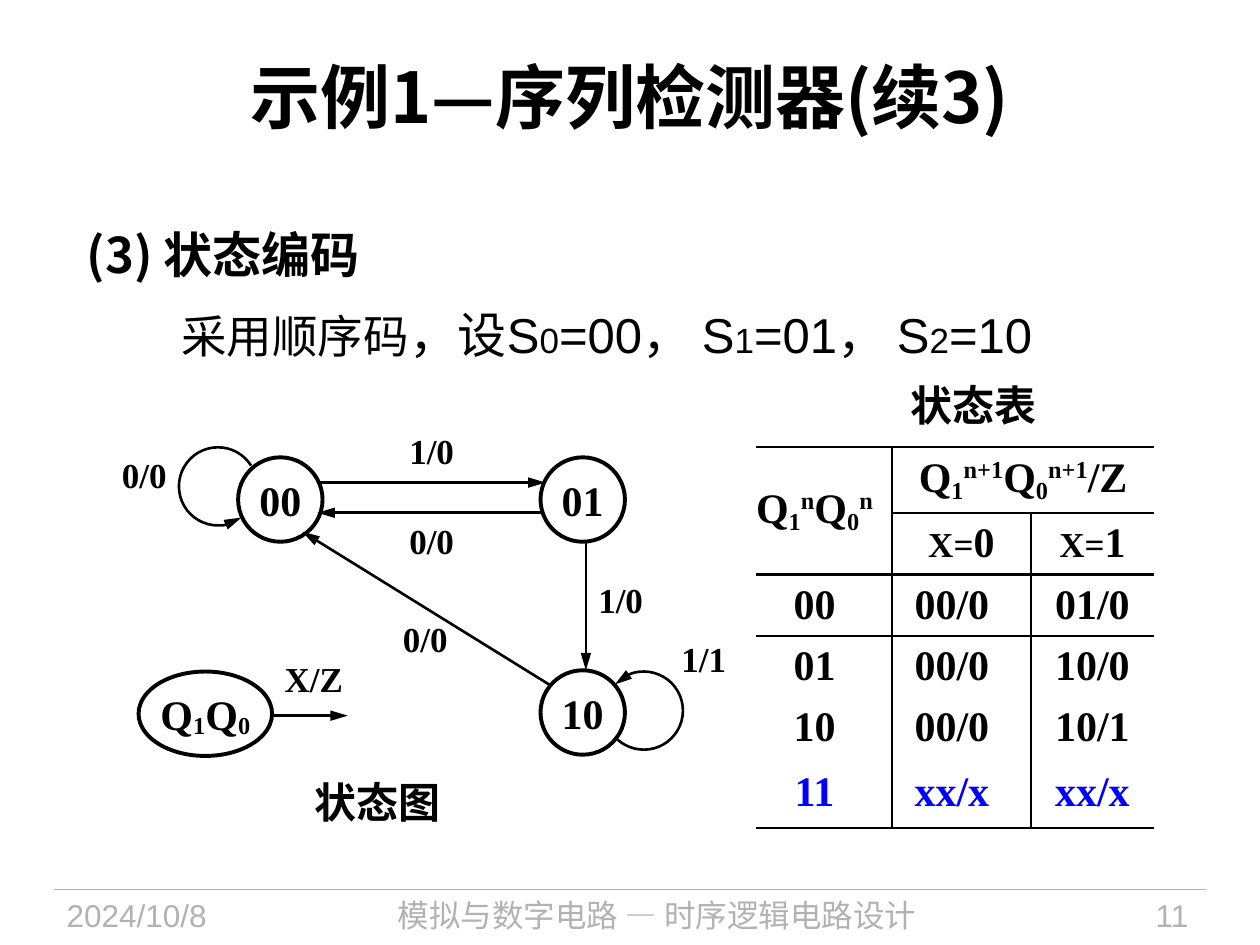
import pptx
import pptx.util
import pptx.dml.color
import pptx.enum.shapes
import pptx.enum.text
import pptx.oxml.ns
from dataclasses import dataclass
from lxml import etree

Inches = pptx.util.Inches
Pt = pptx.util.Pt
Align = pptx.enum.text.PP_ALIGN
Anchor = pptx.enum.text.MSO_ANCHOR
Shape = pptx.enum.shapes.MSO_SHAPE
qn = pptx.oxml.ns.qn


@dataclass(frozen=True)
class Theme:
    black: str = "000000"
    grey: str = "B2B2B2"
    blue: str = "0000FF"
    sans: str = "Arial"
    chinese: str = "Noto Sans CJK SC"
    serif: str = "Times New Roman"
    title: int = 40
    heading: int = 28
    body: int = 26
    state: int = 24
    label: int = 20
    footer: int = 18


theme = Theme()


def write(frame, runs, size, font=theme.serif, color=theme.black, bold=True, align=Align.LEFT):
    paragraph = frame.paragraphs[0]
    paragraph.alignment = align
    paragraph.font.size = Pt(size)
    paragraph.font.bold = bold
    paragraph.font.name = font
    paragraph.font.color.rgb = pptx.dml.color.RGBColor.from_string(color)
    etree.SubElement(paragraph.font._rPr, qn("a:ea"), typeface=theme.chinese)
    for text, run_size, baseline in runs:
        run = paragraph.add_run()
        run.text = text
        if run_size != size:
            run.font.size = Pt(run_size)
        if baseline:
            run.font._rPr.set("baseline", str(baseline * 1000))


def stroke(shape, width=1.5, color=theme.black, arrow=None):
    shape.line.color.rgb = pptx.dml.color.RGBColor.from_string(color)
    shape.line.width = Pt(width)
    if arrow:
        etree.SubElement(shape.line._get_or_add_ln(), qn(f"a:{arrow}"), type="triangle", len="lg")
    etree.SubElement(shape._element.spPr, qn("a:effectLst"))


presentation = pptx.Presentation()
presentation.slide_width = Inches(10)
presentation.slide_height = Inches(7.5)
slide = presentation.slides.add_slide(presentation.slide_layouts[6])
shapes = slide.shapes

for x1, y1, x2, y2, width, color, arrow in [
    (0.43, 7.06, 9.57, 7.06, 0.75, theme.grey, None),
    (2.52, 3.83, 4.33, 3.83, 1.5, theme.black, "tailEnd"),
    (4.29, 4.07, 2.52, 4.07, 1.5, theme.black, "tailEnd"),
    (4.65, 4.3, 4.65, 5.32, 1.5, theme.black, "tailEnd"),
    (4.37, 5.44, 2.4, 4.22, 1.5, theme.black, "tailEnd"),
    (2.16, 5.68, 2.76, 5.68, 1.5, theme.black, "tailEnd"),
]:
    connector = shapes.add_connector(
        pptx.enum.shapes.MSO_CONNECTOR.STRAIGHT, Inches(x1), Inches(y1), Inches(x2), Inches(y2))
    stroke(connector, width, color, arrow)

loop_radius = 0.31
for center_x, center_y, start, end in [(1.73, 3.86, 53, 328), (5.11, 5.64, 222, 132)]:
    loop = shapes.add_shape(Shape.ARC, Inches(center_x - loop_radius), Inches(center_y - loop_radius),
                            Inches(2 * loop_radius), Inches(2 * loop_radius))
    loop.adjustments[0] = start * 0.6
    loop.adjustments[1] = end * 0.6
    loop.fill.background()
    stroke(loop, arrow="headEnd")

legend_runs = [("Q", 24, 0), ("1", 24, -10), ("Q", 24, 0), ("0", 24, -10)]
for left, top, width, runs in [
    (1.89, 3.63, 0.67, [("00", 24, 0)]),
    (4.29, 3.63, 0.67, [("01", 24, 0)]),
    (4.29, 5.32, 0.67, [("10", 24, 0)]),
    (1.1, 5.33, 1.06, legend_runs),
]:
    state = shapes.add_shape(Shape.OVAL, Inches(left), Inches(top), Inches(width), Inches(0.67))
    state.fill.background()
    stroke(state, 2.25)
    frame = state.text_frame
    frame.word_wrap = False
    frame.vertical_anchor = Anchor.MIDDLE
    frame.margin_left = frame.margin_right = frame.margin_top = frame.margin_bottom = 0
    write(frame, runs, theme.state, align=Align.CENTER)

for text, left, top, width in [
    ("1/0", 3.15, 3.36, 0.56), ("1/0", 4.65, 4.54, 0.56), ("0/0", 3.1, 4.85, 0.56),
    ("0/0", 3.15, 4.07, 0.56), ("0/0", 0.87, 3.55, 0.56), ("1/1", 5.31, 5.01, 0.56),
    ("X/Z", 2.16, 5.17, 0.75),
]:
    label = shapes.add_textbox(Inches(left), Inches(top), Inches(width), Inches(0.43))
    label.text_frame.word_wrap = False
    label.text_frame.margin_right = 0
    write(label.text_frame, [(text, theme.label, 0)], theme.label)

encoding_runs = [("采用顺序码", 26, 0), ("，设S", 28, 0), ("0", 20, 0), ("=00， S", 28, 0),
                 ("1", 20, 0), ("=01， S", 28, 0), ("2", 20, 0), ("=10", 28, 0)]
for runs, left, top, width, height, size, font, color, bold, align in [
    ([("示例1—序列检测器(续3)", 40, 0)], 0.5, 0.17, 9, 1.17,
     theme.title, theme.chinese, theme.black, True, Align.CENTER),
    ([("(3) 状态编码", 28, 0)], 0.59, 1.73, 4.33, 0.57,
     theme.heading, theme.chinese, theme.black, True, Align.LEFT),
    (encoding_runs, 1.34, 2.37, 7.76, 0.57,
     theme.body, theme.sans, theme.black, False, Align.LEFT),
    ([("状态图", 24, 0)], 2.4, 6.11, 1.21, 0.5,
     theme.state, theme.sans, theme.black, True, Align.LEFT),
    ([("状态表", 24, 0)], 7.13, 2.96, 1.21, 0.5,
     theme.state, theme.sans, theme.black, True, Align.LEFT),
    ([("2024/10/8", 18, 0)], 0.43, 7.06, 1.88, 0.44,
     theme.footer, theme.sans, theme.grey, False, Align.LEFT),
    ([("模拟与数字电路 — 时序逻辑电路设计", 18, 0)], 2.4, 7.06, 5.63, 0.44,
     theme.footer, theme.chinese, theme.grey, False, Align.CENTER),
    ([("11", 18, 0)], 8.2, 7.06, 1.33, 0.44,
     theme.footer, theme.sans, theme.grey, False, Align.RIGHT),
]:
    box = shapes.add_textbox(Inches(left), Inches(top), Inches(width), Inches(height))
    box.text_frame.word_wrap = True
    if size == theme.title:
        box.text_frame.vertical_anchor = Anchor.MIDDLE
    write(box.text_frame, runs, size, font, color, bold, align)

column_widths = [1.08, 1.1, 0.98]
row_heights = [0.52, 0.49, 0.49, 0.48, 0.48, 0.56]
graphic = shapes.add_table(6, 3, Inches(6), Inches(3.55), Inches(sum(column_widths)), Inches(sum(row_heights)))
table = graphic.table
table.first_row = table.horz_banding = False
table._tbl.tblPr.find(qn("a:tableStyleId")).text = "{2D5ABB26-0587-4C30-8999-92F81FD0307C}"
for column, width in zip(table.columns, column_widths):
    column.width = Inches(width)
for row, height in zip(table.rows, row_heights):
    row.height = Inches(height)
table.cell(0, 0).merge(table.cell(1, 0))
table.cell(0, 1).merge(table.cell(0, 2))

current_runs = [("Q", 24, 0), ("1", 24, -15), ("n", 24, 35), ("Q", 24, 0), ("0", 24, -15), ("n", 24, 35)]
next_runs = [("Q", 24, 0), ("1", 24, -15), ("n+1", 24, 35), ("Q", 24, 0),
             ("0", 24, -15), ("n+1", 24, 35), ("/Z", 24, 0)]
state_rows = [("00", "00/0", "01/0"), ("01", "00/0", "10/0"), ("10", "00/0", "10/1"), ("11", "xx/x", "xx/x")]
cell_runs = [[current_runs, next_runs, []],
             [[], [("X=", 20, 0), ("0", 24, 0)], [("X=", 20, 0), ("1", 24, 0)]]]
cell_runs += [[[(value, 24, 0)] for value in values] for values in state_rows]

for row, row_runs in enumerate(cell_runs):
    for column, runs in enumerate(row_runs):
        cell = table.cell(row, column)
        cell.margin_left = cell.margin_top = cell.margin_bottom = 0
        cell.margin_right = Inches(0.15 if row > 1 and column < 2 else 0)
        cell.vertical_anchor = Anchor.MIDDLE
        properties = cell._tc.get_or_add_tcPr()
        borders = {"lnR": column == 0 or (column == 1 and row > 0),
                   "lnT": row in (0, 2) or (row == 1 and column > 0),
                   "lnB": row in (1, 5) or (row == 0 and column != 0)}
        for side, drawn in borders.items():
            if drawn:
                border = etree.SubElement(properties, qn(f"a:{side}"), w=str(Pt(1.5)))
                fill = etree.SubElement(border, qn("a:solidFill"))
                etree.SubElement(fill, qn("a:srgbClr"), val=theme.black)
        cell.fill.background()
        if runs:
            write(cell.text_frame, runs, theme.state, color=theme.blue if row == 5 else theme.black,
                  align=Align.LEFT if runs is current_runs else Align.CENTER)

presentation.save("out.pptx")
